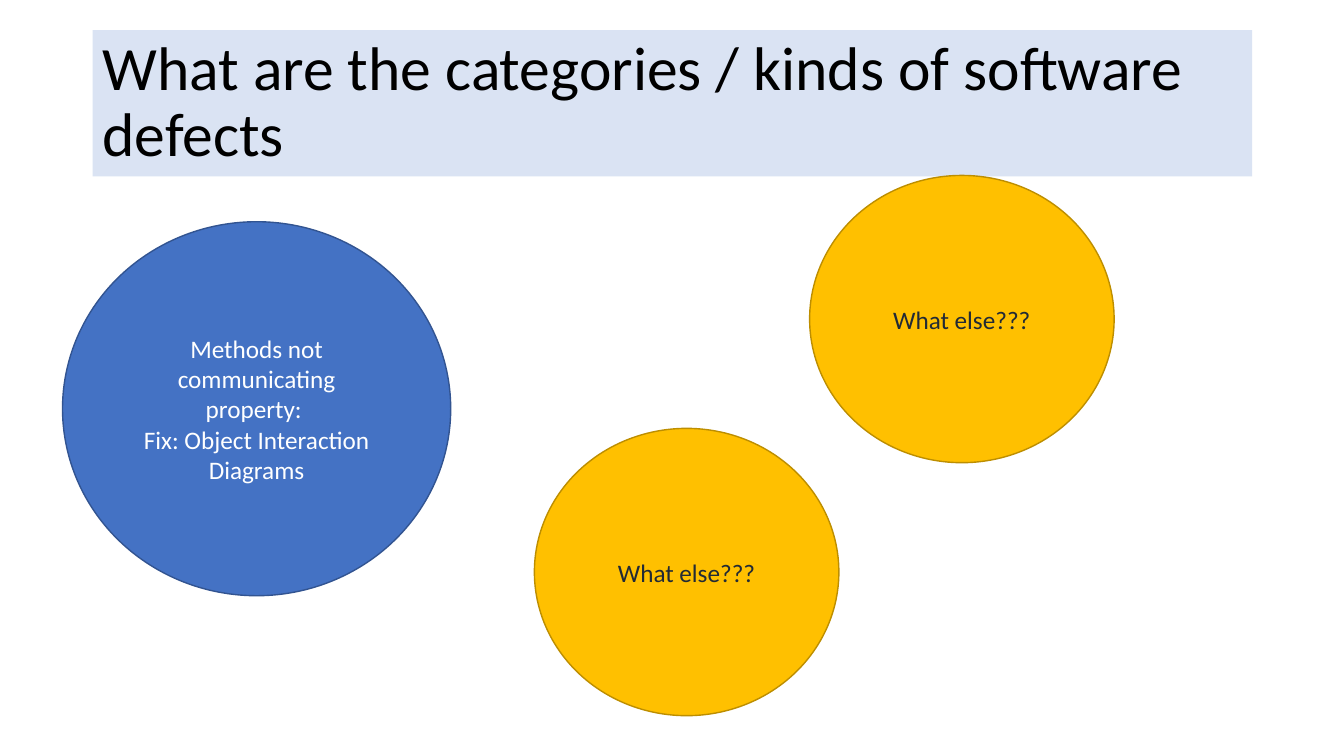
from dataclasses import dataclass

from pptx import Presentation
from pptx.dml.color import RGBColor
from pptx.enum.shapes import MSO_SHAPE
from pptx.enum.text import MSO_ANCHOR, PP_ALIGN
from pptx.shapes.autoshape import Shape
from pptx.slide import Slide
from pptx.util import Inches, Pt


@dataclass(frozen=True)
class Palette:
    fill: str
    text: str
    line: str | None = None


@dataclass(frozen=True)
class Theme:
    font: str = "Calibri"
    title_size: int = 44
    body_size: int = 18
    title: Palette = Palette("DAE3F3", "000000")
    known: Palette = Palette("4472C4", "FFFFFF", "325491")
    unknown: Palette = Palette("FFC000", "222A35", "BD8E00")


@dataclass(frozen=True)
class Defect:
    left: float
    top: float
    width: float
    height: float
    palette: Palette
    lines: tuple[str, ...]


THEME = Theme()
UNKNOWN_SIZE = (3.02, 2.85)
UNKNOWN_TEXT = ("What else???",)
DEFECTS = (
    Defect(0.62, 2.2, 3.85, 3.71, THEME.known,
           ("Methods not communicating property: ", "Fix: Object Interaction Diagrams")),
    Defect(8.03, 1.74, *UNKNOWN_SIZE, THEME.unknown, UNKNOWN_TEXT),
    Defect(5.3, 4.25, *UNKNOWN_SIZE, THEME.unknown, UNKNOWN_TEXT),
)


def write_text(shape: Shape, lines: tuple[str, ...], *, size: int, color: str,
               align: PP_ALIGN = PP_ALIGN.CENTER, spacing: float = 1.0) -> None:
    frame = shape.text_frame
    frame.word_wrap = True
    frame.vertical_anchor = MSO_ANCHOR.MIDDLE
    frame.text = "\n".join(lines)
    for paragraph in frame.paragraphs:
        paragraph.alignment = align
        paragraph.line_spacing = spacing
        font = paragraph.runs[0].font
        font.name = THEME.font
        font.size = Pt(size)
        font.color.rgb = RGBColor.from_string(color)


def add_filled_shape(slide: Slide, kind: MSO_SHAPE, left: float, top: float,
                     width: float, height: float, palette: Palette) -> Shape:
    shape = slide.shapes.add_shape(
        kind, Inches(left), Inches(top), Inches(width), Inches(height))
    shape.shadow.inherit = False
    shape.fill.solid()
    shape.fill.fore_color.rgb = RGBColor.from_string(palette.fill)
    if palette.line:
        shape.line.color.rgb = RGBColor.from_string(palette.line)
        shape.line.width = Pt(1)
    else:
        shape.line.fill.background()
    return shape


def add_title(slide: Slide) -> None:
    banner = add_filled_shape(slide, MSO_SHAPE.RECTANGLE, 0.92, 0.3, 11.5, 1.45, THEME.title)
    write_text(banner, ("What are the categories / kinds of software defects",),
               size=THEME.title_size, color=THEME.title.text,
               align=PP_ALIGN.LEFT, spacing=0.9)


def add_defect(slide: Slide, defect: Defect) -> None:
    bubble = add_filled_shape(slide, MSO_SHAPE.OVAL, defect.left, defect.top,
                              defect.width, defect.height, defect.palette)
    write_text(bubble, defect.lines, size=THEME.body_size, color=defect.palette.text)


def main() -> None:
    deck = Presentation()
    deck.slide_width = Inches(13.33)
    deck.slide_height = Inches(7.5)
    slide = deck.slides.add_slide(deck.slide_layouts[6])
    add_title(slide)
    for defect in DEFECTS:
        add_defect(slide, defect)
    deck.save("out.pptx")


if __name__ == "__main__":
    main()
